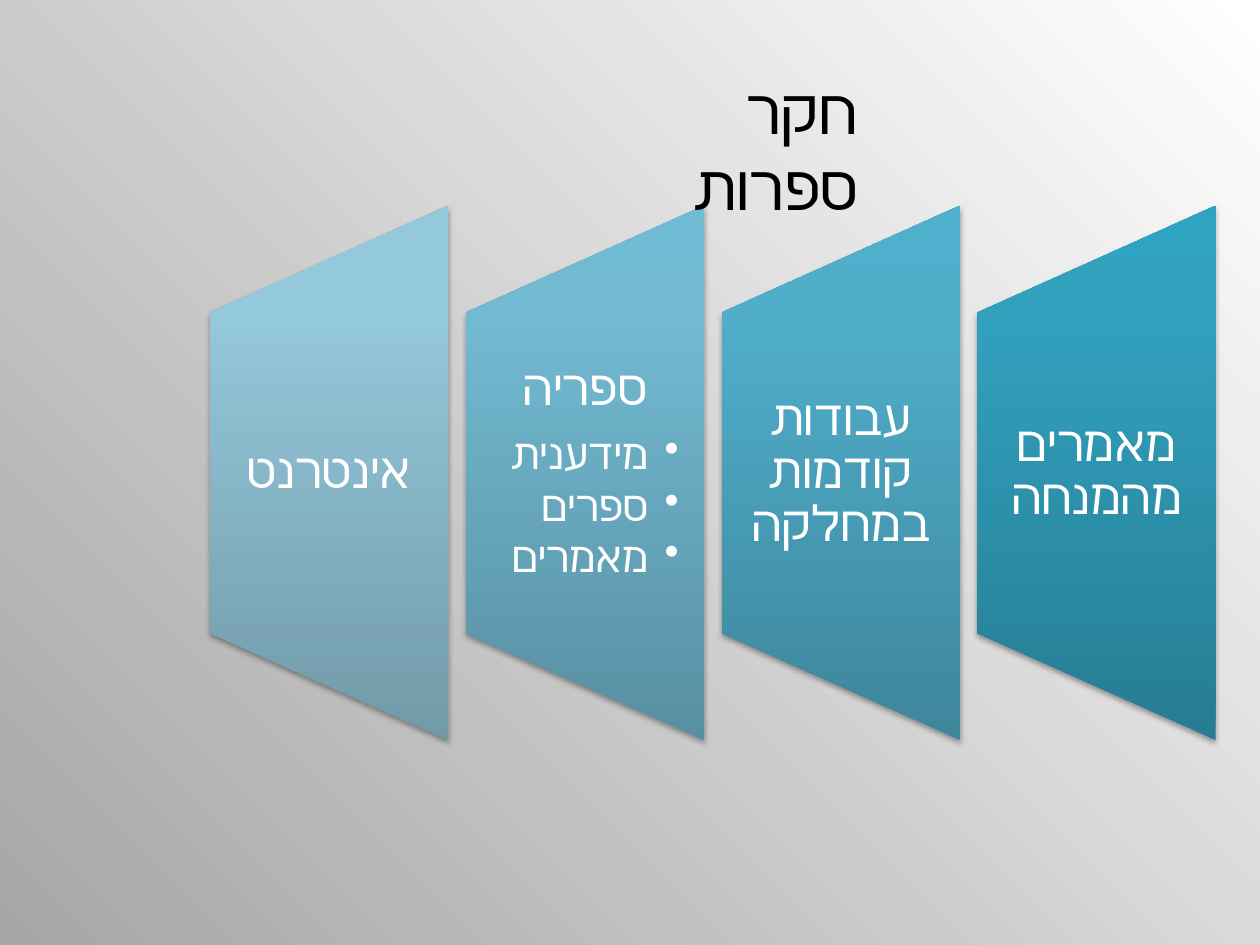
from dataclasses import dataclass

from lxml import etree
from pptx import Presentation
from pptx import util as u
from pptx.dml.color import RGBColor
from pptx.enum import shapes, text
from pptx.oxml import parse_xml
from pptx.oxml.ns import nsdecls, qn

FONT = "Calibri"
WHITE = RGBColor(0xFF, 0xFF, 0xFF)
BLACK = RGBColor(0x00, 0x00, 0x00)
GREY = RGBColor(0xA6, 0xA6, 0xA6)

# Panel geometry in points; the row runs from right to left
PANEL_WIDTH, PANEL_HEIGHT = 136.1, 305.3
PANEL_TOP, LABEL_TOP, LABEL_HEIGHT = 117.6, 178.6, 182.9
RIGHTMOST_LEFT, PITCH = 558.5, 146.15


@dataclass(frozen=True)
class Panel:
    label: str
    bottom: RGBColor
    middle: RGBColor
    top: RGBColor
    bullets: tuple[str, ...] = ()
    rtl: bool = False


PANELS = (
    Panel("מאמרים מהמנחה", RGBColor(0x26, 0x7C, 0x93),
          RGBColor(0x32, 0xA1, 0xBE), RGBColor(0x2F, 0xA3, 0xC2)),
    Panel("עבודות קודמות במחלקה", RGBColor(0x3E, 0x86, 0x9C),
          RGBColor(0x50, 0xAE, 0xCA), RGBColor(0x4E, 0xB0, 0xCD)),
    Panel("ספריה", RGBColor(0x58, 0x8F, 0xA2),
          RGBColor(0x72, 0xBA, 0xD2), RGBColor(0x71, 0xBC, 0xD5),
          ("מידענית", "ספרים", "מאמרים"), True),
    Panel("אינטרנט", RGBColor(0x72, 0x9A, 0xA8),
          RGBColor(0x94, 0xC8, 0xDB), RGBColor(0x93, 0xC9, 0xDD)),
)


def gradient(stops: list[tuple[int, RGBColor]], direction: str):
    """Build a gradient fill element from percent stops and a direction."""
    marks = "".join(f'<a:gs pos="{position * 1000}"><a:srgbClr val="{color}"/></a:gs>'
                    for position, color in stops)
    return parse_xml(f'<a:gradFill {nsdecls("a")} rotWithShape="0">'
                     f'<a:gsLst>{marks}</a:gsLst>{direction}</a:gradFill>')


def replace_gradient(fill, parent, element) -> None:
    fill.gradient()
    parent.replace(parent.find(qn("a:gradFill")), element)


def add_span(para, words: str, size: float, color: RGBColor) -> None:
    span = para.add_run()
    span.text = words
    span.font.name = FONT
    span.font.size = u.Pt(size)
    span.font.color.rgb = color
    complex_font = etree.SubElement(span.font._element, qn("a:cs"))
    complex_font.set("typeface", FONT)


def format_para(para, align, rtl: bool, after: int, bullet: bool = False) -> None:
    para.alignment = align
    para.line_spacing = 0.9
    props = para._p.get_or_add_pPr()
    if rtl:
        props.set("rtl", "1")
    spacing = etree.SubElement(props, qn("a:spcAft"))
    etree.SubElement(spacing, qn("a:spcPct")).set("val", str(after * 1000))
    if bullet:
        para.level = 1
        props.set("marL", str(u.Pt(18)))
        props.set("indent", str(-u.Pt(18)))
        etree.SubElement(props, qn("a:buChar")).set("char", "•")


def add_panel(page, panel: Panel, left: float) -> None:
    # Trapezoid, turned a quarter so that its wide side faces right
    turn = (PANEL_HEIGHT - PANEL_WIDTH) / 2
    shape = page.shapes.add_shape(
        shapes.MSO_SHAPE.FLOWCHART_MANUAL_OPERATION,
        u.Pt(left - turn), u.Pt(PANEL_TOP + turn), u.Pt(PANEL_HEIGHT), u.Pt(PANEL_WIDTH))
    shape.rotation = 90
    shape.line.fill.background()
    shape.shadow.inherit = False
    props = shape._element.spPr
    stops = [(0, panel.bottom), (80, panel.middle), (100, panel.top)]
    replace_gradient(shape.fill, props,
                     gradient(stops, '<a:lin ang="16200000" scaled="0"/>'))
    props.find(qn("a:effectLst")).append(parse_xml(
        f'<a:outerShdw {nsdecls("a")} blurRad="{u.Pt(3.1)}" dist="{u.Pt(1.8)}" '
        f'dir="5400000" rotWithShape="0"><a:srgbClr val="{BLACK}">'
        '<a:alpha val="35000"/></a:srgbClr></a:outerShdw>'))

    # Label and bullets
    box = page.shapes.add_textbox(u.Pt(left), u.Pt(LABEL_TOP),
                                  u.Pt(PANEL_WIDTH), u.Pt(LABEL_HEIGHT))
    frame = box.text_frame
    frame.word_wrap = True
    frame.vertical_anchor = text.MSO_ANCHOR.MIDDLE
    frame.margin_left = frame.margin_right = u.Pt(14)
    frame.margin_top = frame.margin_bottom = u.Pt(0)
    para = frame.paragraphs[0]
    format_para(para, text.PP_ALIGN.CENTER, panel.rtl, 35)
    add_span(para, panel.label, 28, WHITE)
    for bullet in panel.bullets:
        para = frame.add_paragraph()
        format_para(para, text.PP_ALIGN.RIGHT, panel.rtl, 15, bullet=True)
        add_span(para, bullet, 24, WHITE)


def add_title(page, words: str) -> None:
    box = page.shapes.add_textbox(u.Pt(325), u.Pt(37.5), u.Pt(172.5), u.Pt(51))
    frame = box.text_frame
    frame.word_wrap = True
    para = frame.paragraphs[0]
    para.alignment = text.PP_ALIGN.RIGHT
    para._p.get_or_add_pPr().set("rtl", "1")
    add_span(para, words, 36, BLACK)


def main() -> None:
    deck = Presentation()
    deck.slide_width, deck.slide_height = u.Pt(720), u.Pt(540)
    page = deck.slides.add_slide(deck.slide_layouts[6])

    # Background, lit from the top right corner
    fill = page.background.fill
    fill.gradient()
    holder = page._element.cSld.find(qn("p:bg")).find(qn("p:bgPr"))
    replace_gradient(fill, holder, gradient(
        [(0, WHITE), (100, GREY)],
        '<a:path path="circle"><a:fillToRect l="100000" b="100000"/></a:path>'))

    for index, panel in enumerate(PANELS):
        add_panel(page, panel, RIGHTMOST_LEFT - index * PITCH)
    add_title(page, "חקר ספרות")
    deck.save("out.pptx")


if __name__ == "__main__":
    main()
